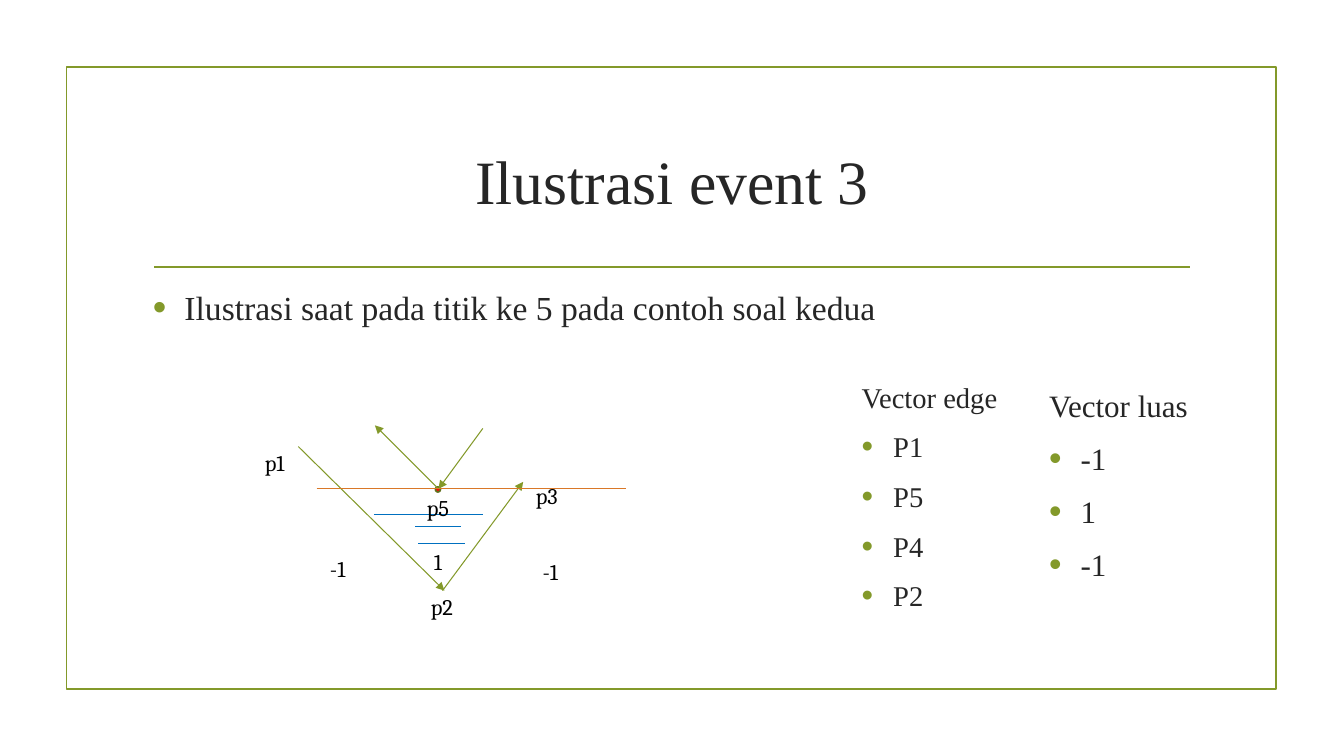
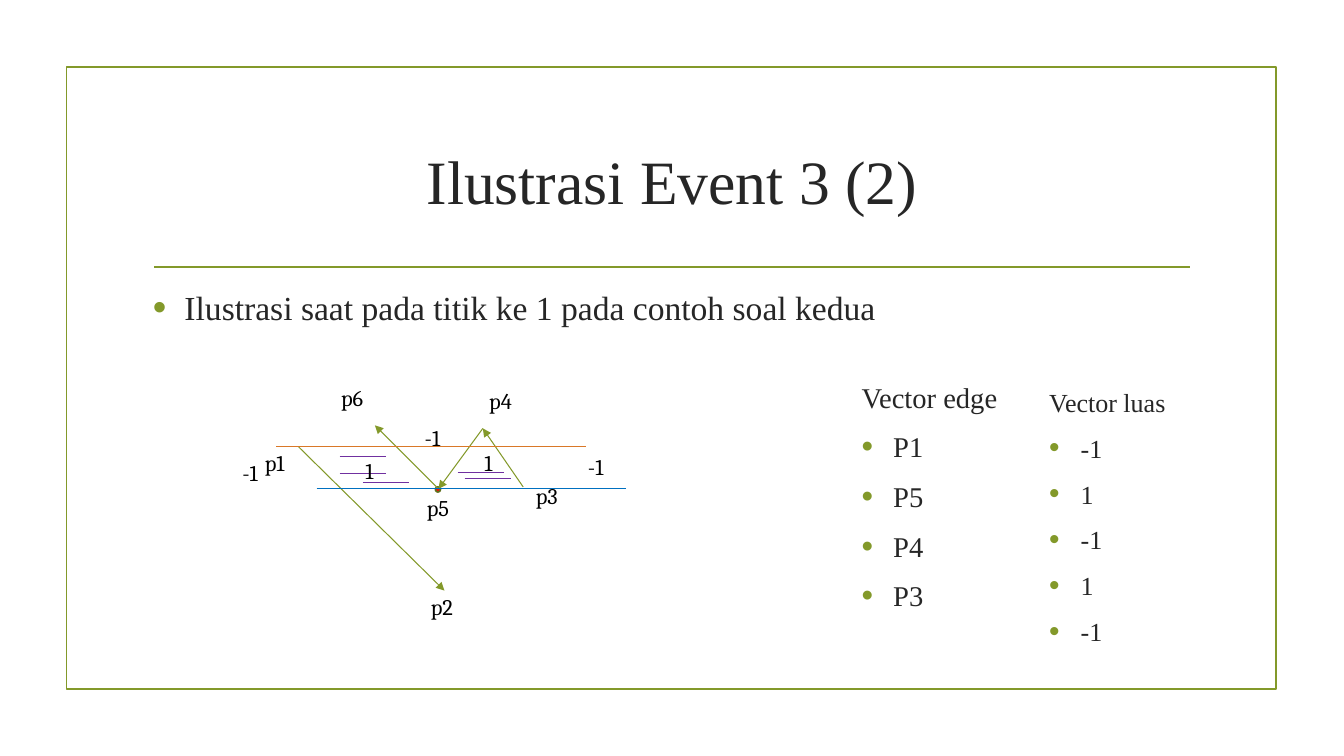
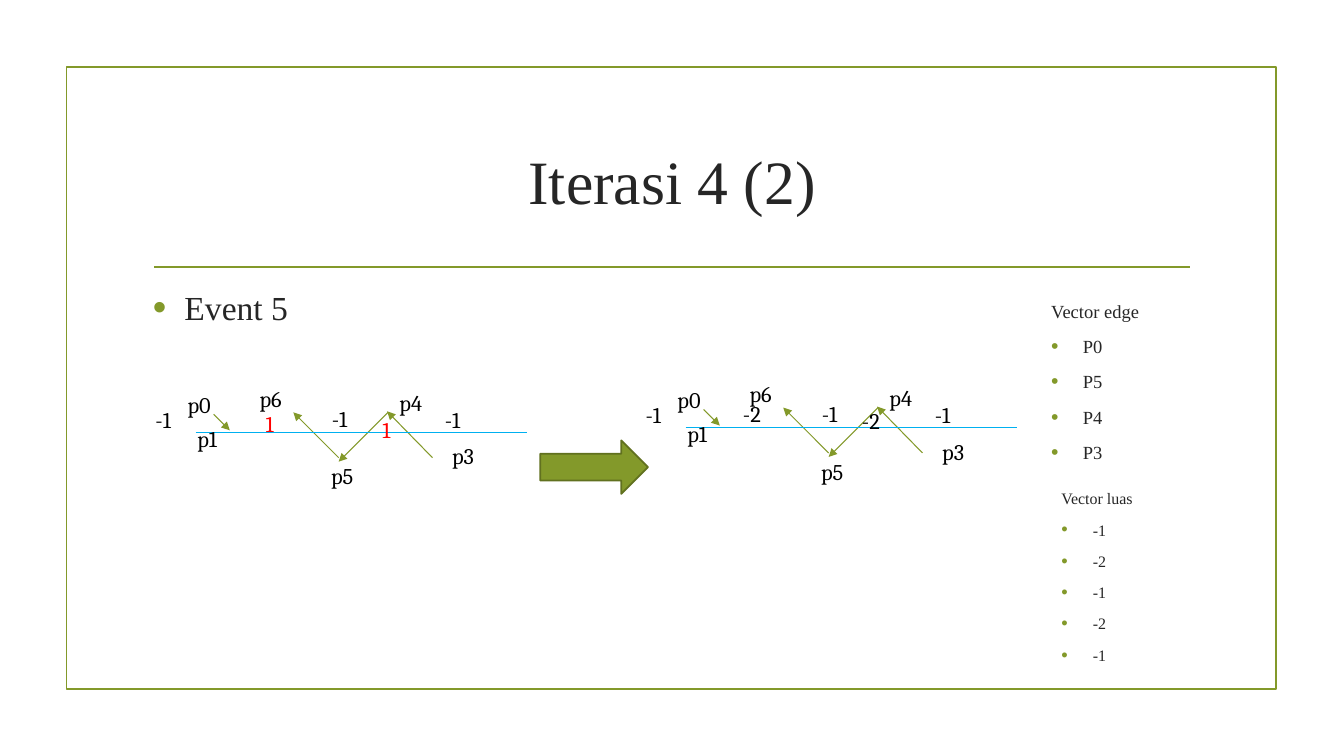
"""Build three slides that illustrate sweep-line events on a polygon."""
from dataclasses import dataclass
from typing import Any, Sequence

from lxml.etree import SubElement
from pptx import Presentation
from pptx.dml.color import RGBColor
from pptx.enum.shapes import MSO_CONNECTOR as CONN, MSO_SHAPE as SHAPE
from pptx.enum.text import MSO_ANCHOR as ANCHOR, MSO_AUTO_SIZE as FIT, PP_ALIGN as ALIGN
from pptx.oxml.ns import qn
from pptx.util import Pt

GREEN = RGBColor(0x83, 0x99, 0x2A)
OLIVE = RGBColor(0x61, 0x71, 0x1F)
INK = RGBColor(0x26, 0x26, 0x26)
BLACK = RGBColor(0, 0, 0)
RED = RGBColor(0xFF, 0, 0)
ORANGE = RGBColor(0xD9, 0x78, 0x28)
BLUE = RGBColor(0, 0x70, 0xC0)
SKY = RGBColor(0, 0xB0, 0xF0)
PURPLE = RGBColor(0x70, 0x30, 0xA0)
SERIF, LABEL_FONT = "Times New Roman", "Cambria"
INDENT = 22.5


@dataclass(frozen=True)
class Label:
    text: str
    x: float
    y: float
    color: RGBColor = BLACK


@dataclass(frozen=True)
class Line:
    x1: float
    y1: float
    x2: float
    y2: float
    color: RGBColor = GREEN
    arrow: bool = False
    width: float = 0.75


@dataclass(frozen=True)
class Vector:
    title: str
    items: Sequence[str]
    x: float
    y: float
    w: float
    h: float
    size: float


def edge(x1: float, y1: float, x2: float, y2: float) -> Line:
    """Return a directed polygon edge."""
    return Line(x1, y1, x2, y2, arrow=True)


def level(x: float, y: float, length: float, color: RGBColor) -> Line:
    """Return a horizontal line."""
    return Line(x, y, x + length, y, color)


def add_text(p: Any, text: str, size: float, name: str, color: RGBColor) -> None:
    """Add one formatted run to a paragraph."""
    r = p.add_run()
    r.text = text
    for key, value in {"size": Pt(size), "name": name}.items():
        setattr(r.font, key, value)
    r.font.color.rgb = color


def add_box(s: Any, x: float, y: float, w: float, h: float, **formats: Any) -> Any:
    """Add a text box and return its text frame."""
    tf = s.shapes.add_textbox(Pt(x), Pt(y), Pt(w), Pt(h)).text_frame
    for key, value in ({"word_wrap": True} | formats).items():
        setattr(tf, key, value)
    return tf


def add_item(p: Any, text: str, size: float, bullet: bool = True) -> None:
    """Fill a list paragraph, with a bullet unless it is a heading."""
    for key, value in {"space_before": Pt(round(0.24 * size, 1)), "space_after": Pt(6)}.items():
        setattr(p, key, value)
    if bullet:
        pr = p._p.get_or_add_pPr()
        pr.set("marL", str(Pt(INDENT)))
        pr.set("indent", str(Pt(-INDENT)))
        SubElement(SubElement(pr, qn("a:buClr")), qn("a:srgbClr"), val=str(GREEN))
        SubElement(pr, qn("a:buSzPct"), val="115000")
        SubElement(pr, qn("a:buFont"), typeface="Arial")
        SubElement(pr, qn("a:buChar"), char="•")
    add_text(p, text, size, SERIF, INK)


def add_line(s: Any, line: Line, dx: float = 0, dy: float = 0) -> None:
    """Draw a line, moved by an offset."""
    sp = s.shapes.add_connector(CONN.STRAIGHT, Pt(line.x1 + dx), Pt(line.y1 + dy),
                                Pt(line.x2 + dx), Pt(line.y2 + dy))
    sp.line.color.rgb = line.color
    sp.line.width = Pt(line.width)
    if line.arrow:
        SubElement(sp.line._get_or_add_ln(), qn("a:tailEnd"), type="triangle")
    SubElement(sp._element.spPr, qn("a:effectLst"))


def add_label(s: Any, label: Label, dx: float = 0, dy: float = 0) -> None:
    """Write a diagram label, moved by an offset."""
    w = 32.4 if label.text.startswith("p") else 28.8 if len(label.text) == 2 else 23.8
    tf = add_box(s, label.x + dx, label.y + dy, w, 26.6,
                 word_wrap=False, auto_size=FIT.SHAPE_TO_FIT_TEXT)
    p = tf.paragraphs[0]
    p.alignment = ALIGN.CENTER
    add_text(p, label.text, 16, LABEL_FONT, label.color)


def add_diagram(s: Any, lines: Sequence[Line], labels: Sequence[Label],
                dx: float = 0, dy: float = 0) -> None:
    """Draw the lines and labels of a diagram."""
    for line in lines:
        add_line(s, line, dx, dy)
    for label in labels:
        add_label(s, label, dx, dy)


def add_solid(s: Any, kind: Any, x: float, y: float, w: float, h: float,
              fill: RGBColor | None, color: RGBColor) -> None:
    """Draw a preset shape, hollow when it has no fill colour."""
    sp = s.shapes.add_shape(kind, Pt(x), Pt(y), Pt(w), Pt(h))
    sp.shadow.inherit = False
    if fill is None:
        sp.fill.background()
    else:
        sp.fill.solid()
        sp.fill.fore_color.rgb = fill
    sp.line.color.rgb = color
    sp.line.width = Pt(1.25)


def add_vector(s: Any, v: Vector) -> None:
    """Write a headed bullet list."""
    tf = add_box(s, v.x, v.y, v.w, v.h)
    add_item(tf.paragraphs[0], v.title, v.size, bullet=False)
    for item in v.items:
        add_item(tf.add_paragraph(), item, v.size)


def add_slide(prs: Any, title: str, body: str, vectors: Sequence[Vector]) -> Any:
    """Add a slide with the shared frame, rule, title, body and vectors."""
    s = prs.slides.add_slide(prs.slide_layouts[6])
    add_solid(s, SHAPE.RECTANGLE, 47.5, 48, 864, 444.2, None, GREEN)
    add_line(s, Line(110.2, 190.8, 850.3, 190.8, width=1.25))
    p = add_box(s, 102.2, 77, 756, 103, vertical_anchor=ANCHOR.MIDDLE).paragraphs[0]
    p.alignment = ALIGN.CENTER
    add_text(p, title, 44, SERIF, INK)
    add_item(add_box(s, 102.2, 201.6, 756, 261.4).paragraphs[0], body, 24)
    for v in vectors:
        add_vector(s, v)
    return s


P1, P2, P5 = (213.1, 319), (317.5, 421.9), (313.2, 349.2)
P4, P6 = (344.9, 306), (267.8, 303.8)
SWEEP = 221
HATCH = 33
POLYGON = [edge(*P1, *P2), edge(*P5, *P6), edge(*P4, *P5)]
POINTS = [Label("p1", 180, 317.5), Label("p2", 299.5, 419.8),
          Label("p3", 374.4, 340.6), Label("p5", 296.6, 349.2)]


def add_polygon(s: Any, lines: Sequence[Line], labels: Sequence[Label]) -> None:
    """Draw the second sample polygon with its event point."""
    add_solid(s, SHAPE.OVAL, 311, 347.8, 3.6, 3.6, RED, OLIVE)
    add_diagram(s, [*POLYGON, *lines], [*POINTS, *labels])


def event_point_5(prs: Any) -> None:
    """Build the slide for the event at point 5."""
    s = add_slide(prs, "Ilustrasi event 3", "Ilustrasi saat pada titik ke 5 pada contoh soal kedua", [
        Vector("Vector edge", ["P1", "P5", "P4", "P2"], 608.4, 267.8, 113.8, 155.5, 20.4),
        Vector("Vector luas", ["-1", "1", "-1"], 742.3, 272.2, 124.6, 149, 22.2)])
    add_polygon(s, [
        edge(316.1, 421.9, 373.7, 344.2),
        level(226.1, 349.2, SWEEP, ORANGE),
        level(296.6, 375.8, HATCH, BLUE),
        level(267.1, 367.2, 77.8, BLUE),
        level(298.8, 388.1, HATCH, BLUE),
    ], [Label("-1", 226.8, 393.1), Label("1", 301, 388.1), Label("-1", 378.7, 395.3)])


def event_point_1(prs: Any) -> None:
    """Build the slide for the event at point 1."""
    s = add_slide(prs, "Ilustrasi Event 3 (2)", "Ilustrasi saat pada titik ke 1 pada contoh soal kedua", [
        Vector("Vector edge", ["P1", "P5", "P4", "P3"], 608.4, 267.8, 113.8, 155.5, 20.4),
        Vector("Vector luas", ["-1", "1", "-1", "1", "-1"], 742.3, 272.2, 124.6, 174.2, 18.6)])
    hatches = [(242.6, 326.2), (259.2, 344.9), (242.6, 338.4), (331.9, 342), (326.9, 337.7)]
    add_polygon(s, [
        edge(373.7, 347.8, *P4),
        level(226.1, 349.2, SWEEP, BLUE),
        level(197.3, 319, SWEEP, ORANGE),
        *(level(x, y, HATCH, PURPLE) for x, y in hatches),
    ], [
        Label("-1", 164.2, 324.7), Label("1", 252, 323.3), Label("-1", 294.5, 299.5),
        Label("1", 337, 317.5), Label("-1", 411.1, 320.4),
        Label("p4", 341.3, 272.9), Label("p6", 235.4, 270.7),
    ])


def iteration_4(prs: Any) -> None:
    """Build the slide with the areas before and after event 5."""
    s = add_slide(prs, "Iterasi 4 (2)", "Event 5", [
        Vector("Vector edge", ["P0", "P5", "P4", "P3"], 743.8, 211, 113.8, 117.4, 13.2),
        Vector("Vector luas", ["-1", "-2", "-1", "-2", "-1"], 751, 345.6, 113.8, 117.4, 11.4)])
    lines = [
        edge(277.2, 294.5, 241.9, 329.8),
        edge(241.9, 326.9, 209.5, 294.5),
        edge(308.9, 326.9, 276.5, 293.8),
        level(139.7, 308.9, 236.9, SKY),
        edge(152.6, 295.9, 164.2, 307.4),
    ]
    labels = [
        Label("p0", 126, 275.8), Label("p1", 131.8, 300.2), Label("p3", 314.6, 312.5),
        Label("p4", 277.2, 274.3), Label("p5", 228.2, 326.9), Label("p6", 177.1, 271.4),
        Label("-1", 102.2, 286.6), Label("-1", 228.2, 285.8), Label("-1", 308.9, 286.6),
    ]
    before = [Label("1", 180.7, 289.4, RED), Label("1", 264.2, 293.8, RED)]
    after = [Label("-2", 172.7, 285.6), Label("-2", 257.7, 290.7)]
    for areas, dx, dy in ((before, 0, 0), (after, 350, -3.4)):
        add_diagram(s, lines, [*labels, *areas], dx, dy)
    add_solid(s, SHAPE.RIGHT_ARROW, 385.9, 314.6, 77, 38.2, GREEN, OLIVE)


def main() -> None:
    """Build and save the presentation."""
    prs = Presentation()
    prs.slide_width, prs.slide_height = Pt(960), Pt(540)
    for build in (event_point_5, event_point_1, iteration_4):
        build(prs)
    prs.save("out.pptx")


if __name__ == "__main__":
    main()
